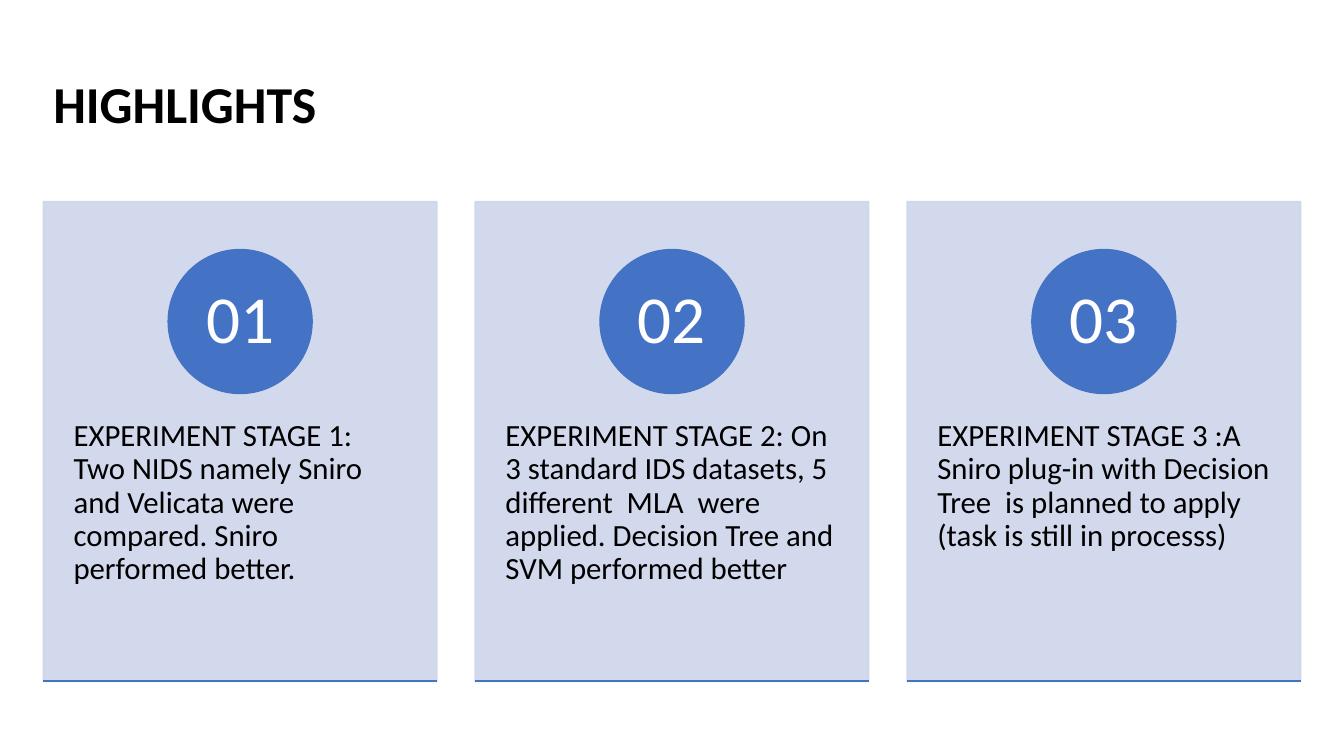
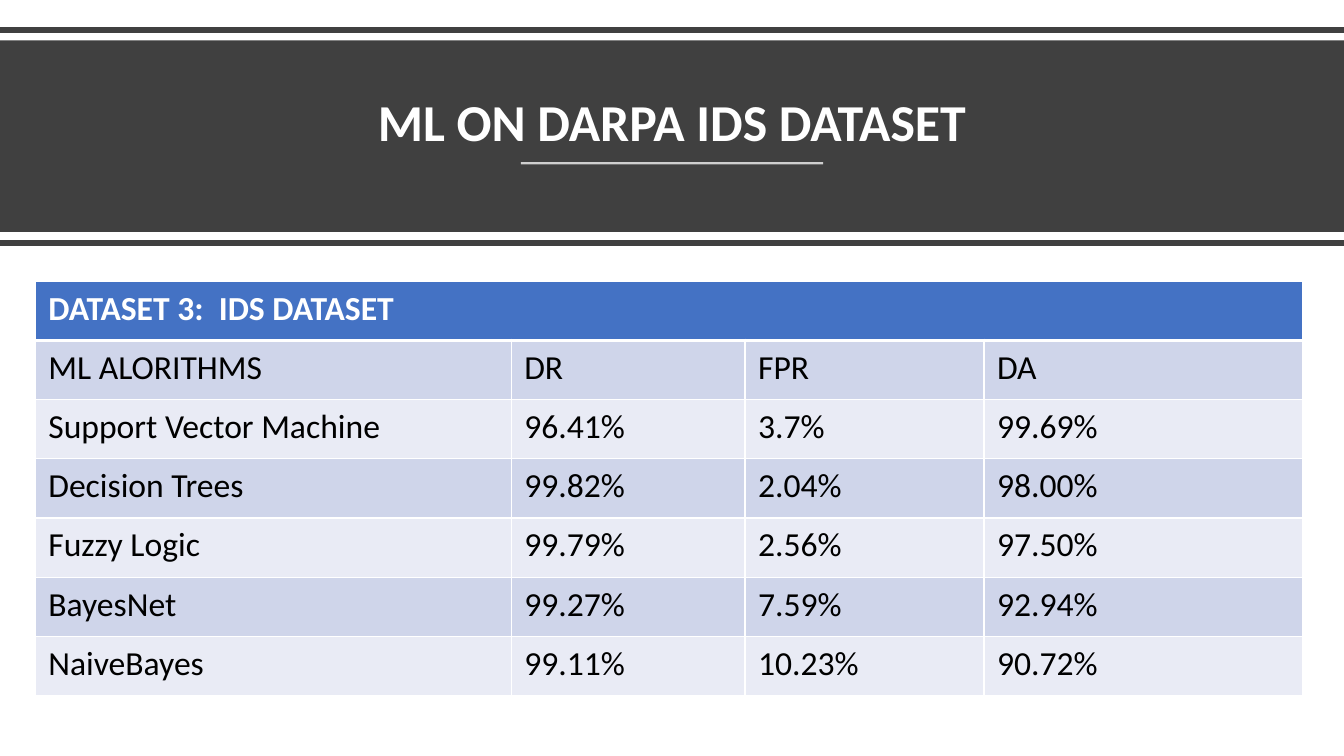
import pptx
import pptx.dml.color
import pptx.enum.shapes
import pptx.enum.text
import pptx.oxml.ns
import pptx.util
import lxml.etree

RGBColor = pptx.dml.color.RGBColor
BLUE = RGBColor(0x44, 0x72, 0xC4)
PALE = RGBColor(0xCF, 0xD5, 0xEA)
PALER = RGBColor(0xE9, 0xEB, 0xF5)
DARK = RGBColor(0x40, 0x40, 0x40)
BLACK = RGBColor(0, 0, 0)
WHITE = RGBColor(0xFF, 0xFF, 0xFF)

FONT = "Calibri"
TITLE_SIZE = 37
WIDTH, HEIGHT = 13.33, 7.5

Inches = pptx.util.Inches
Pt = pptx.util.Pt
qn = pptx.oxml.ns.qn
SHAPE = pptx.enum.shapes.MSO_SHAPE
ALIGN = pptx.enum.text.PP_ALIGN
ANCHOR = pptx.enum.text.MSO_ANCHOR


def write(tf, text, size, color, bold=False, align=ALIGN.LEFT, spacing=0.9):
    """Put one formatted paragraph into a text frame."""
    p = tf.paragraphs[0]
    p.alignment = align
    p.line_spacing = spacing
    r = p.add_run()
    r.text = text
    r.font.name = FONT
    r.font.size = Pt(size)
    r.font.bold = bold
    r.font.color.rgb = color


def frame(tf, anchor=ANCHOR.TOP, inset_x=0.1, inset_y=0.05):
    tf.word_wrap = True
    tf.vertical_anchor = anchor
    tf.margin_left = tf.margin_right = Inches(inset_x)
    tf.margin_top = tf.margin_bottom = Inches(inset_y)
    return tf


def set_alpha(fill_format, percent):
    color = fill_format._xPr.find(".//" + qn("a:srgbClr"))
    lxml.etree.SubElement(color, qn("a:alpha"), val=str(percent * 1000))


def add_box(s, box, **layout):
    sp = s.shapes.add_textbox(*map(Inches, box))
    return frame(sp.text_frame, **layout)


def add_filled(s, kind, box, color, alpha=100):
    sp = s.shapes.add_shape(kind, *map(Inches, box))
    sp.shadow.inherit = False
    sp.line.width = Pt(1)
    for fill in (sp.fill, sp.line.fill):
        fill.solid()
        fill.fore_color.rgb = color
        if alpha < 100:
            set_alpha(fill, alpha)
    return sp


def add_rule(s, x, y, width, color, weight, alpha=100):
    """Draw a horizontal line."""
    line = s.shapes.add_connector(
        pptx.enum.shapes.MSO_CONNECTOR.STRAIGHT,
        Inches(x), Inches(y), Inches(x + width), Inches(y))
    line.line.color.rgb = color
    line.line.width = Pt(weight)
    if alpha < 100:
        set_alpha(line.line.fill, alpha)
    lxml.etree.SubElement(line._element.spPr, qn("a:effectLst"))


def add_title(s, box, text, color, anchor=ANCHOR.MIDDLE, align=ALIGN.LEFT):
    write(add_box(s, box, anchor=anchor), text, TITLE_SIZE, color,
          bold=True, align=align)


def add_card(s, box, number, text):
    x, y, w, h = box
    add_filled(s, SHAPE.RECTANGLE, box, PALE, alpha=90)
    # Description
    body = add_box(s, (x, y + 0.38 * h, w, 0.6 * h), inset_x=0.3, inset_y=0.36)
    write(body, text, 22, BLACK)
    # Numbered disc
    d = 0.3 * h
    disc = add_filled(s, SHAPE.OVAL, (x + (w - d) / 2, y + 0.1 * h, d, d), BLUE)
    write(frame(disc.text_frame, ANCHOR.MIDDLE, 0.11, 0.01),
          f"{number:02}", 48, WHITE, align=ALIGN.CENTER)
    # Base line
    add_rule(s, x, y + h, w, BLUE, 1.5)


def add_card_row(s, box, texts, gap):
    x, y, w, h = box
    card_w = (w - gap * (len(texts) - 1)) / len(texts)
    for i, text in enumerate(texts):
        add_card(s, (x + i * (card_w + gap), y, card_w, h), i + 1, text)


def add_title_band(s, box, text):
    x, y, w, h = box
    add_rule(s, x, y - 0.1, w, DARK, 4)
    band = add_filled(s, SHAPE.RECTANGLE, box, DARK)
    band.line.fill.background()
    add_title(s, (x + 0.58, y + 0.14, w - 1.16, 1.02), text, WHITE,
              anchor=ANCHOR.BOTTOM, align=ALIGN.CENTER)
    underline = 3
    add_rule(s, x + (w - underline) / 2, y + 1.22, underline, WHITE, 1.5, alpha=75)
    add_rule(s, x, y + h + 0.11, w, DARK, 4)


def set_borders(cell, top, bottom):
    """Give a cell white borders; the fill must be set afterwards."""
    tc_pr = cell._tc.get_or_add_tcPr()
    for side, weight in (("L", 1), ("R", 1), ("T", top), ("B", bottom)):
        ln = lxml.etree.SubElement(tc_pr, qn("a:ln" + side), w=str(Pt(weight)))
        fill = lxml.etree.SubElement(ln, qn("a:solidFill"))
        lxml.etree.SubElement(fill, qn("a:srgbClr"), val=str(WHITE))


def add_results(s, box, heading, rows, shares):
    x, y, w, h = box
    n_rows = len(rows) + 1
    table = s.shapes.add_table(n_rows, len(shares), *map(Inches, box)).table
    for column, share in zip(table.columns, shares):
        column.width = Inches(w * share / sum(shares))
    for row in table.rows:
        row.height = Inches(h / n_rows)
    table.cell(0, 0).merge(table.cell(0, len(shares) - 1))

    grid = [[heading] + [""] * (len(shares) - 1)] + rows
    for i, values in enumerate(grid):
        for j, value in enumerate(values):
            cell = table.cell(i, j)
            set_borders(cell, top=3 if i == 1 else 1, bottom=3 if i == 0 else 1)
            cell.fill.solid()
            cell.fill.fore_color.rgb = BLUE if i == 0 else PALE if i % 2 else PALER
            cell.margin_left = cell.margin_right = Inches(0.13)
            cell.margin_top = cell.margin_bottom = Inches(0.07)
            if value:
                write(cell.text_frame, value, 24, BLACK if i else WHITE,
                      bold=i == 0, spacing=1.0)


def highlights_slide(s):
    add_title(s, (0.43, 0.35, 4.02, 1.41), "HIGHLIGHTS", BLACK)
    add_card_row(s, (0.43, 2, 12.47, 4.76), [
        "EXPERIMENT STAGE 1: Two NIDS namely Sniro and Velicata were "
        "compared. Sniro performed better.",
        "EXPERIMENT STAGE 2: On 3 standard IDS datasets, 5 different  MLA  "
        "were applied. Decision Tree and SVM performed better",
        "EXPERIMENT STAGE 3 :A Sniro plug-in with Decision Tree  is planned "
        "to apply (task is still in processs)",
    ], gap=0.38)


def dataset_slide(s):
    add_title_band(s, (0, 0.4, WIDTH, 1.9), "ML ON DARPA IDS DATASET")
    add_results(s, (0.35, 2.79, 12.57, 4.11), "DATASET 3:  IDS DATASET", [
        ["ML ALORITHMS", "DR", "FPR", "DA"],
        ["Support Vector Machine", "96.41%", "3.7%", "99.69%"],
        ["Decision Trees", "99.82%", "2.04%", "98.00%"],
        ["Fuzzy Logic", "99.79%", "2.56%", "97.50%"],
        ["BayesNet", "99.27%", "7.59%", "92.94%"],
        ["NaiveBayes", "99.11%", "10.23%", "90.72%"],
    ], shares=(4.72, 2.32, 2.37, 3.16))


def main():
    prs = pptx.Presentation()
    prs.slide_width, prs.slide_height = Inches(WIDTH), Inches(HEIGHT)
    for build in (highlights_slide, dataset_slide):
        build(prs.slides.add_slide(prs.slide_layouts[6]))
    prs.save("out.pptx")


if __name__ == "__main__":
    main()
